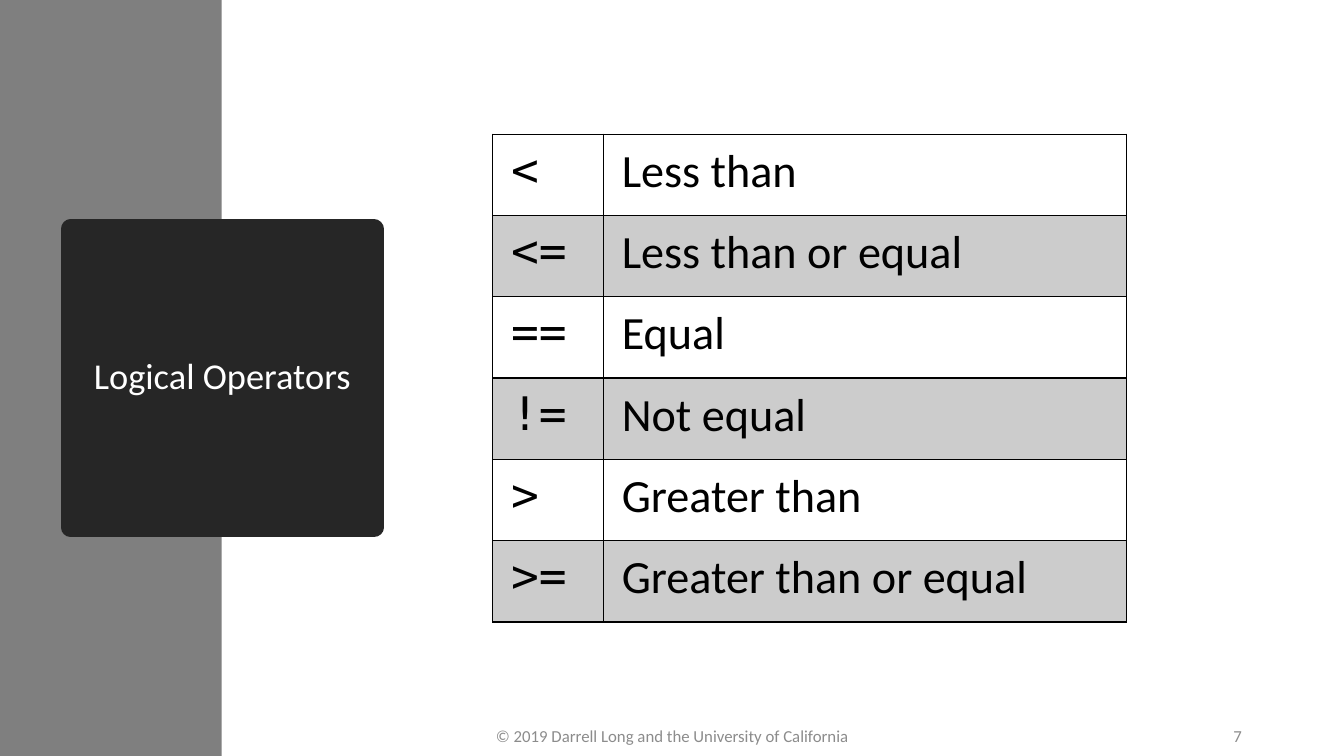
import lxml.etree
import pptx
import pptx.dml.color
import pptx.enum.shapes
import pptx.enum.text
import pptx.oxml.ns
import pptx.util

Cm = pptx.util.Cm
Pt = pptx.util.Pt
Align = pptx.enum.text.PP_ALIGN
Anchor = pptx.enum.text.MSO_ANCHOR

COLORS = {
    "background": "FFFFFF",
    "sidebar": "7F7F7F",
    "panel": "262626",
    "title": "FFFFFF",
    "ink": "000000",
    "footer": "8C8C8C",
}
OPERATORS = [
    ("<", "Less than"),
    ("<=", "Less than or equal"),
    ("==", "Equal"),
    ("!=", "Not equal"),
    (">", "Greater than"),
    (">=", "Greater than or equal"),
]


def rgb(name):
    return pptx.dml.color.RGBColor.from_string(COLORS[name])


def add_element(parent, tag, **attributes):
    element = lxml.etree.SubElement(parent, pptx.oxml.ns.qn(tag))
    for name, value in attributes.items():
        element.set(name, str(value))
    return element


def write_text(frame, text, size, color, font="Calibri", align=Align.LEFT, spacing=1.0):
    frame.word_wrap = True
    paragraph = frame.paragraphs[0]
    paragraph.alignment = align
    paragraph.line_spacing = spacing
    run = paragraph.add_run()
    run.text = text
    run.font.name = font
    run.font.size = Pt(size)
    run.font.color.rgb = rgb(color)


class SlideBuilder:
    """Holds the fonts and the slide that is being filled."""

    text_font = "Calibri"
    code_font = "DejaVu Sans Mono"

    def __init__(self, slide):
        self.slide = slide
        slide.background.fill.solid()
        slide.background.fill.fore_color.rgb = rgb("background")

    def rectangle(self, left, top, width, height, color):
        shape = self.slide.shapes.add_shape(
            pptx.enum.shapes.MSO_SHAPE.RECTANGLE,
            Cm(left), Cm(top), Cm(width), Cm(height))
        shape.shadow.inherit = False
        shape.fill.solid()
        shape.fill.fore_color.rgb = rgb(color)
        shape.line.fill.background()
        return shape

    def title_panel(self, left, top, width, height, text):
        """Add the title on a panel whose thick outline rounds its corners."""
        panel = self.rectangle(left, top, width, height, "panel")
        panel.line.width = Pt(13.75)
        panel.line.color.rgb = rgb("panel")
        add_element(panel.line._get_or_add_ln(), "a:round")
        panel.text_frame.vertical_anchor = Anchor.MIDDLE
        write_text(panel.text_frame, text, 26, "title", self.text_font,
                   Align.CENTER, spacing=0.9)

    def footer(self, left, width, text, align):
        box = self.slide.shapes.add_textbox(Cm(left), Cm(18.03), Cm(width), Cm(1.02))
        box.text_frame.vertical_anchor = Anchor.MIDDLE
        write_text(box.text_frame, text, 12, "footer", self.text_font, align)

    def table(self, left, top, column_widths, row_height, rows):
        table = self.slide.shapes.add_table(
            len(rows), len(column_widths), Cm(left), Cm(top),
            Cm(sum(column_widths)), Cm(row_height * len(rows))).table
        table.first_row = table.horz_banding = False
        for column, width in zip(table.columns, column_widths):
            column.width = Cm(width)
        for row_index, texts in enumerate(rows):
            table.rows[row_index].height = Cm(row_height)
            for column_index, text in enumerate(texts):
                cell = table.cell(row_index, column_index)
                font = self.text_font if column_index else self.code_font
                cell.margin_left = cell.margin_right = Cm(0.46)
                cell.margin_top = cell.margin_bottom = Cm(0.23)
                write_text(cell.text_frame, text, 33, "ink", font)
                self.style_cell(cell, shaded=row_index % 2 == 1)

    def style_cell(self, cell, shaded):
        properties = cell._tc.get_or_add_tcPr()
        for side in "LRTB":
            border = add_element(properties, f"a:ln{side}", w=Pt(1))
            fill = add_element(border, "a:solidFill")
            add_element(fill, "a:srgbClr", val=COLORS["ink"])
        if shaded:
            cell.fill.solid()
            cell.fill.fore_color.rgb = rgb("ink")
            color = properties.find("a:solidFill/a:srgbClr", properties.nsmap)
            add_element(color, "a:alpha", val=20000)
        else:
            cell.fill.background()


def main():
    presentation = pptx.Presentation()
    presentation.slide_width = Cm(33.87)
    presentation.slide_height = Cm(19.05)
    builder = SlideBuilder(presentation.slides.add_slide(presentation.slide_layouts[6]))
    builder.rectangle(0, 0, 5.59, 19.05, "sidebar")
    builder.title_panel(1.78, 5.77, 7.65, 7.52, "Logical Operators")
    builder.table(12.42, 3.38, [2.79, 13.18], 2.05, OPERATORS)
    builder.footer(11.23, 11.43, "© 2019 Darrell Long and the University of California",
                   Align.CENTER)
    builder.footer(23.93, 7.62, "7", Align.RIGHT)
    presentation.save("out.pptx")


if __name__ == "__main__":
    main()
